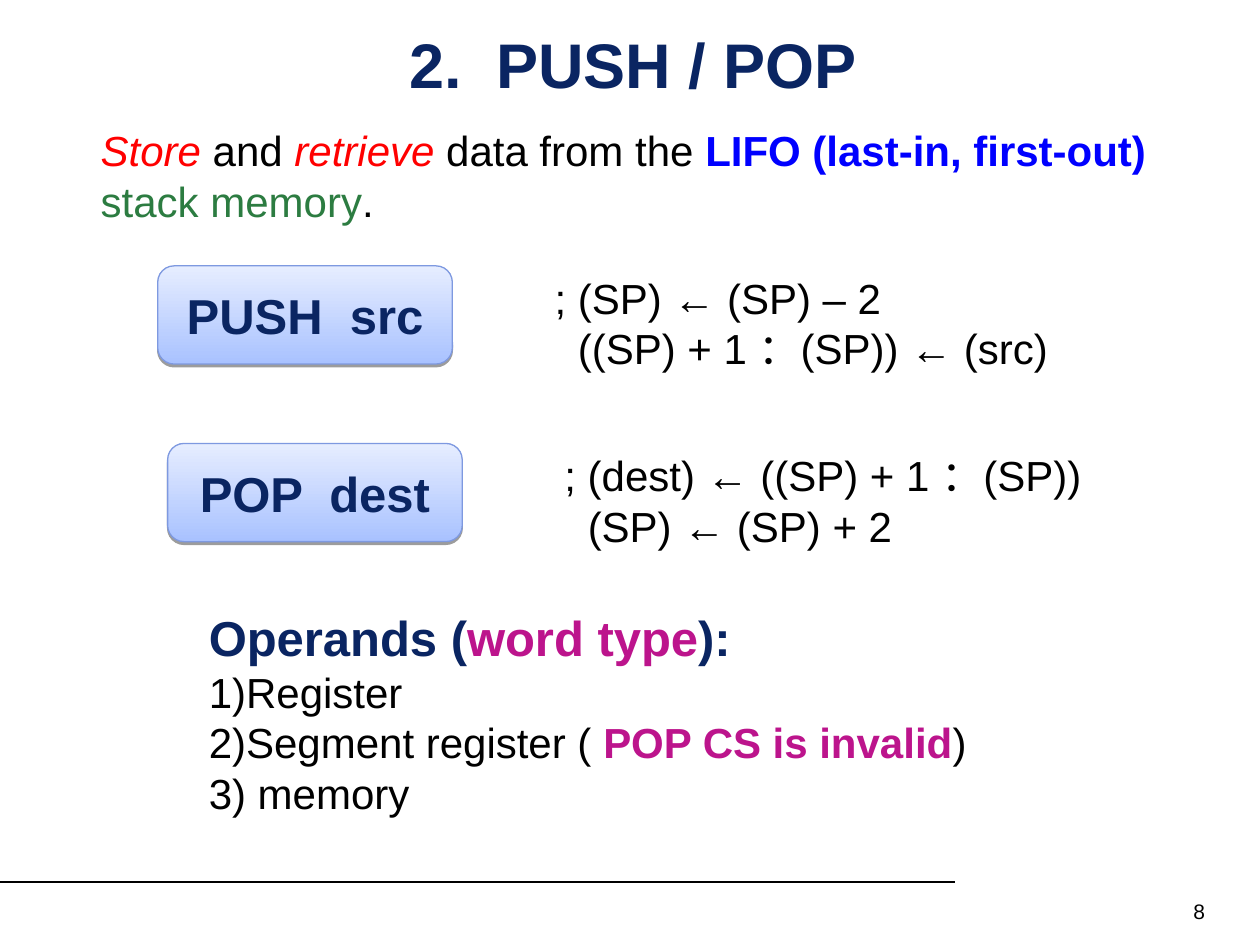
"""Build the PUSH / POP instruction slide."""
from dataclasses import dataclass

from lxml.etree import SubElement
from pptx import Presentation
from pptx.dml.color import RGBColor as Rgb
from pptx.enum.shapes import MSO_CONNECTOR as Connector, MSO_SHAPE as Shape
from pptx.enum.text import MSO_ANCHOR as Anchor, MSO_AUTO_SIZE as AutoSize, PP_ALIGN as Align
from pptx.oxml.ns import qn
from pptx.util import Cm, Pt


@dataclass(frozen=True)
class Theme:
    font: str = "Arial"
    black: str = "000000"
    navy: str = "0A2562"
    red: str = "FF0000"
    blue: str = "0000FF"
    green: str = "2C7C41"
    magenta: str = "BC148C"
    button_bottom: str = "A9C2FF"
    button_top: str = "E6EDFF"
    button_edge: str = "7E99E0"
    title_size: int = 36
    heading_size: int = 28
    body_size: int = 24
    number_size: int = 12


THEME = Theme()

TITLE = "2.  PUSH / POP"
PAGE_NUMBER = "8"
INTRO = [
    ("Store", THEME.red, "i"),
    (" and ", THEME.black, ""),
    ("retrieve", THEME.red, "i"),
    (" data from the ", THEME.black, ""),
    ("LIFO (last-in, first-out) ", THEME.blue, "b"),
    ("stack memory", THEME.green, ""),
    (".", THEME.black, ""),
]
INSTRUCTIONS = [
    ("PUSH  src", ["; (SP) ← (SP) – 2", "((SP) + 1 ：(SP)) ← (src)"], 3.18, 5.36),
    ("POP  dest", ["; (dest) ← ((SP) + 1 ：(SP))", "(SP) ← (SP) + 2"], 3.38, 8.94),
]
OPERANDS_HEADING = [
    ("Operands (", THEME.navy, "b"),
    ("word type", THEME.magenta, "b"),
    ("):", THEME.navy, "b"),
]
OPERANDS = [
    [("Register", THEME.black, "")],
    [
        ("Segment register ( ", THEME.black, ""),
        ("POP CS is invalid", THEME.magenta, "b"),
        (")", THEME.black, ""),
    ],
    [(" memory", THEME.black, "")],
]

BUTTON_SIZE = (5.94, 1.98)
EFFECT_OFFSET = 7.75
EFFECT_SIZE = (12.12, 2.29)
EFFECT_INDENT = 0.47


def rgb(color):
    return Rgb.from_string(color)


def style(run, size, color, marks=""):
    font = run.font
    font.name = THEME.font
    font.size = Pt(size)
    font.color.rgb = rgb(color)
    font.bold = "b" in marks
    font.italic = "i" in marks


def write(paragraph, parts, size):
    for words, color, marks in parts:
        run = paragraph.add_run()
        run.text = words
        style(run, size, color, marks)


def add_frame(slide, left, top, width, height):
    frame = slide.shapes.add_textbox(Cm(left), Cm(top), Cm(width), Cm(height)).text_frame
    frame.word_wrap = True
    return frame


def number_item(paragraph):
    properties = paragraph._p.get_or_add_pPr()
    properties.set("marL", "0")
    properties.set("indent", "0")
    bullet_color = SubElement(properties, qn("a:buClr"))
    SubElement(bullet_color, qn("a:srgbClr"), val=THEME.black)
    SubElement(properties, qn("a:buFont"), typeface=THEME.font)
    SubElement(properties, qn("a:buAutoNum"), type="arabicParenR")


def drop_shadow(shape):
    shape.shadow.inherit = False
    effects = shape._element.spPr.find(qn("a:effectLst"))
    shadow = SubElement(
        effects, qn("a:outerShdw"), blurRad="0", dist=str(int(Pt(1.6))),
        dir="5400000", rotWithShape="0",
    )
    color = SubElement(shadow, qn("a:srgbClr"), val=THEME.black)
    SubElement(color, qn("a:alpha"), val="38000")


def add_title(slide):
    title = slide.shapes.title
    title.left, title.top, title.width, title.height = Cm(1.27), Cm(0.64), Cm(22.99), Cm(1.27)
    frame = title.text_frame
    frame.text = TITLE
    frame.auto_size = AutoSize.NONE
    frame.vertical_anchor = Anchor.MIDDLE
    frame.margin_left = frame.margin_right = frame.margin_top = frame.margin_bottom = 0
    paragraph = frame.paragraphs[0]
    paragraph.alignment = Align.CENTER
    style(paragraph.runs[0], THEME.title_size, THEME.navy, "b")


def add_footer(slide):
    rule = slide.shapes.add_connector(Connector.STRAIGHT, 0, Cm(17.78), Cm(19.25), Cm(17.78))
    rule.line.color.rgb = rgb(THEME.black)
    rule.line.width = Pt(0.75)
    SubElement(rule._element.spPr, qn("a:effectLst"))
    number = add_frame(slide, 18.62, 17.98, 5.92, 0.69).paragraphs[0]
    number.alignment = Align.RIGHT
    write(number, [(PAGE_NUMBER, THEME.black, "")], THEME.number_size)


def add_button(slide, label, left, top):
    button = slide.shapes.add_shape(
        Shape.ROUNDED_RECTANGLE, Cm(left), Cm(top), *map(Cm, BUTTON_SIZE)
    )
    button.fill.gradient()
    button.fill.gradient_angle = 90
    for stop, color in zip(button.fill.gradient_stops, (THEME.button_bottom, THEME.button_top)):
        stop.color.rgb = rgb(color)
    button.line.color.rgb = rgb(THEME.button_edge)
    button.line.width = Pt(0.75)
    drop_shadow(button)
    frame = button.text_frame
    frame.word_wrap = False
    frame.vertical_anchor = Anchor.MIDDLE
    frame.paragraphs[0].alignment = Align.CENTER
    write(frame.paragraphs[0], [(label, THEME.navy, "b")], THEME.heading_size)


def add_effect(slide, steps, left, top):
    frame = add_frame(slide, left, top, *EFFECT_SIZE)
    frame.text = "\n".join(steps)
    for paragraph in frame.paragraphs:
        style(paragraph.runs[0], THEME.body_size, THEME.black)
    for paragraph in frame.paragraphs[1:]:
        paragraph._p.get_or_add_pPr().set("marL", str(int(Cm(EFFECT_INDENT))))


def add_operands(slide):
    frame = add_frame(slide, 3.96, 12.12, 18.26, 4.5)
    write(frame.paragraphs[0], OPERANDS_HEADING, THEME.heading_size)
    for operand in OPERANDS:
        paragraph = frame.add_paragraph()
        number_item(paragraph)
        write(paragraph, operand, THEME.body_size)


def main():
    deck = Presentation()
    deck.slide_width, deck.slide_height = Cm(25.4), Cm(19.05)
    slide = deck.slides.add_slide(deck.slide_layouts.get_by_name("Title Only"))
    add_title(slide)
    add_footer(slide)
    write(add_frame(slide, 1.78, 2.39, 22.76, 2.29).paragraphs[0], INTRO, THEME.body_size)
    for label, steps, left, top in INSTRUCTIONS:
        add_button(slide, label, left, top)
        add_effect(slide, steps, left + EFFECT_OFFSET, top)
    add_operands(slide)
    deck.save("out.pptx")


if __name__ == "__main__":
    main()
